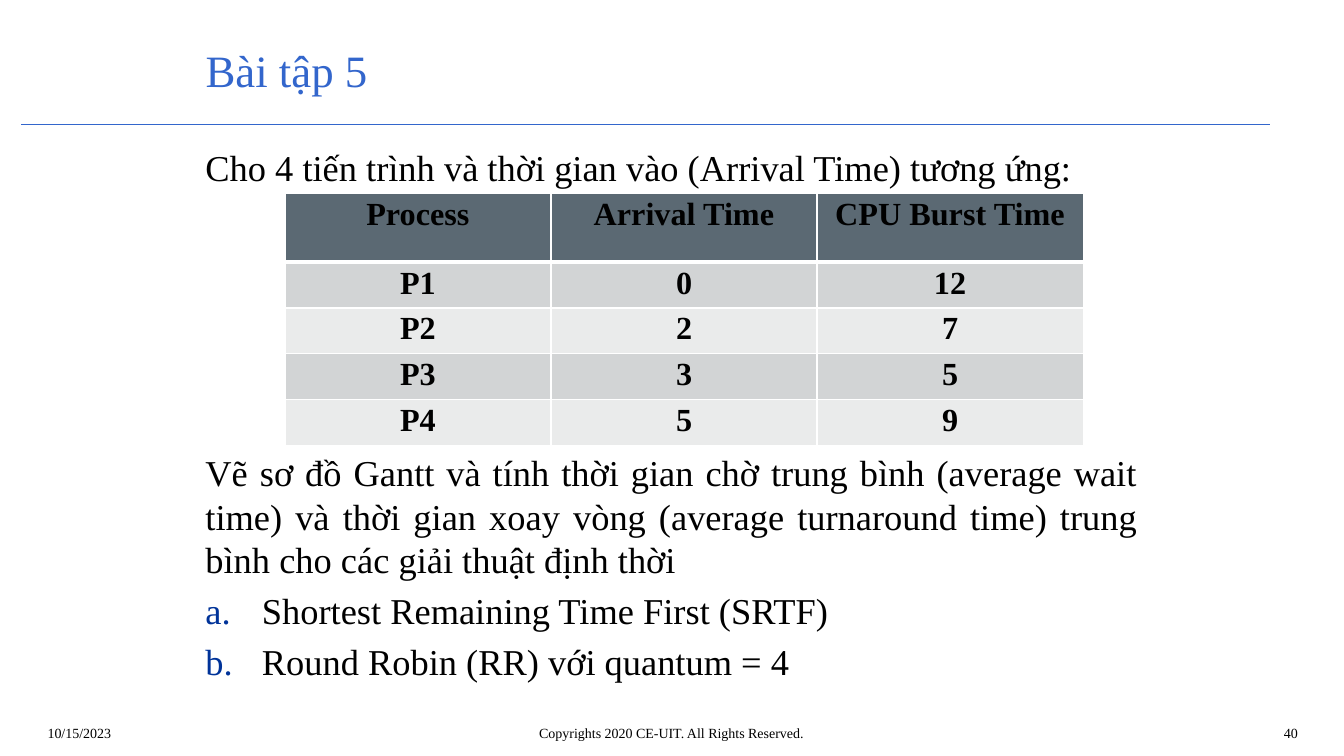
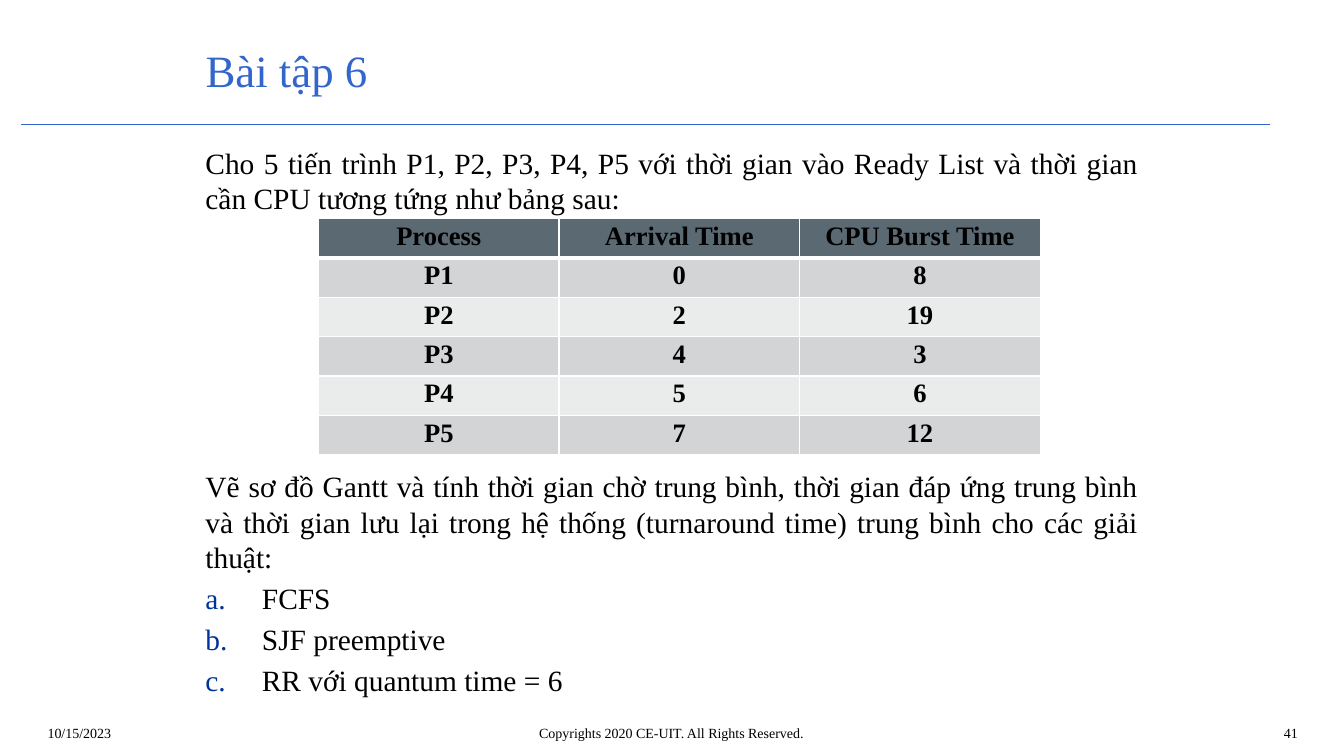
from dataclasses import dataclass

from lxml.etree import SubElement
from pptx import Presentation
from pptx.dml.color import RGBColor
from pptx.enum.shapes import MSO_CONNECTOR
from pptx.enum.text import MSO_ANCHOR, MSO_AUTO_SIZE, PP_ALIGN
from pptx.oxml.ns import qn
from pptx.util import Inches, Pt

SLIDE_WIDTH, SLIDE_HEIGHT = 13.33, 7.5


@dataclass(frozen=True)
class Theme:
    font: str = "Times New Roman"
    accent: str = "3366CC"
    ink: str = "000000"
    marker: str = "003399"
    header: str = "5B6973"
    bands: tuple = ("D2D4D5", "EAEBEB")
    border: str = "FFFFFF"
    title_size: int = 32
    footer_size: int = 10
    paragraph_gap: float = 0.2


@dataclass(frozen=True)
class Exercise:
    number: int
    page: int
    body_size: int
    table_size: int
    intro: str
    processes: tuple
    table_left: float
    table_top: float
    column: float
    header_row: float
    row: float
    task_top: float
    task: str
    algorithms: tuple


THEME = Theme()
TEXT_LEFT, TEXT_WIDTH = 14.55, 70.9
RULE_TOP, INTRO_TOP = 16.45, 18.5
FOOTER_TOP, FOOTER_HEIGHT = 95.2, 4.3
HEADINGS = ("Process", "Arrival Time", "CPU Burst Time")

EXERCISES = (
    Exercise(
        number=5, page=40, body_size=26, table_size=23,
        intro="Cho 4 tiến trình và thời gian vào (Arrival Time) tương ứng:",
        processes=((0, 12), (2, 7), (3, 5), (5, 9)),
        table_left=21.2, table_top=25.6, column=19.8, header_row=9.1, row=6.05,
        task_top=58.9,
        task="Vẽ sơ đồ Gantt và tính thời gian chờ trung bình (average wait time) "
             "và thời gian xoay vòng (average turnaround time) trung bình cho các "
             "giải thuật định thời",
        algorithms=("Shortest Remaining Time First (SRTF)",
                    "Round Robin (RR) với quantum = 4"),
    ),
    Exercise(
        number=6, page=41, body_size=21, table_size=19,
        intro="Cho 5 tiến trình P1, P2, P3, P4, P5 với thời gian vào Ready List "
              "và thời gian cần CPU tương tứng như bảng sau:",
        processes=((0, 8), (2, 19), (4, 3), (5, 6), (7, 12)),
        table_left=23.7, table_top=28.95, column=17.9, header_row=5.2, row=5.2,
        task_top=61.3,
        task="Vẽ sơ đồ Gantt và tính thời gian chờ trung bình, thời gian đáp ứng "
             "trung bình và thời gian lưu lại trong hệ thống (turnaround time) "
             "trung bình cho các giải thuật:",
        algorithms=("FCFS", "SJF preemptive", "RR với quantum time = 6"),
    ),
)


def across(percent):
    return Inches(SLIDE_WIDTH * percent / 100)


def down(percent):
    return Inches(SLIDE_HEIGHT * percent / 100)


def area(left, top, width, height):
    return across(left), down(top), across(width), down(height)


def write(paragraph, text, size, color=THEME.ink, align=PP_ALIGN.LEFT, bold=False):
    paragraph.alignment = align
    run = paragraph.add_run()
    run.text = text
    run.font.name = THEME.font
    run.font.size = Pt(size)
    run.font.bold = bold
    run.font.color.rgb = RGBColor.from_string(color)


def add_text_frame(slide, *bounds):
    frame = slide.shapes.add_textbox(*area(*bounds)).text_frame
    frame.word_wrap = True
    frame.margin_bottom = 0
    return frame


def add_title(slide, text):
    title = slide.shapes.title
    title.left, title.top, title.width, title.height = area(TEXT_LEFT, 4.1, 80.4, 10.1)
    frame = title.text_frame
    frame.auto_size = MSO_AUTO_SIZE.NONE
    frame.vertical_anchor = MSO_ANCHOR.MIDDLE
    write(frame.paragraphs[0], text, THEME.title_size, THEME.accent)


def add_title_rule(slide):
    rule = slide.shapes.add_connector(
        MSO_CONNECTOR.STRAIGHT,
        across(1.6), down(RULE_TOP), across(94.5), down(RULE_TOP))
    rule.line.color.rgb = RGBColor.from_string(THEME.accent)
    rule.line.width = Pt(0.75)
    SubElement(rule.element.spPr, qn("a:effectLst"))


def add_footers(slide, page):
    footers = (
        ("10/15/2023", 2.8, 23.3, PP_ALIGN.LEFT),
        ("Copyrights 2020 CE-UIT. All Rights Reserved.", 26.9, 46.1, PP_ALIGN.CENTER),
        (str(page), 78.1, 19.2, PP_ALIGN.RIGHT),
    )
    for text, left, width, align in footers:
        frame = add_text_frame(slide, left, FOOTER_TOP, width, FOOTER_HEIGHT)
        write(frame.paragraphs[0], text, THEME.footer_size, align=align)


def number_with_letters(paragraph):
    properties = paragraph._p.get_or_add_pPr()
    properties.set("marL", str(Inches(0.56)))
    properties.set("indent", str(-Inches(0.56)))
    color = SubElement(properties, qn("a:buClr"))
    SubElement(color, qn("a:srgbClr"), val=THEME.marker)
    SubElement(properties, qn("a:buAutoNum"), type="alphaLcPeriod")


def add_body(slide, top, bottom, size, statement, algorithms=()):
    frame = add_text_frame(slide, TEXT_LEFT, top, TEXT_WIDTH, bottom - top)
    write(frame.paragraphs[0], statement, size, align=PP_ALIGN.JUSTIFY)
    for algorithm in algorithms:
        paragraph = frame.add_paragraph()
        number_with_letters(paragraph)
        paragraph.space_before = Pt(size * THEME.paragraph_gap)
        write(paragraph, algorithm, size, align=PP_ALIGN.JUSTIFY)


def set_borders(cell, top, bottom):
    properties = cell._tc.get_or_add_tcPr()
    for side, width in (("L", 1), ("R", 1), ("T", top), ("B", bottom)):
        line = SubElement(properties, qn(f"a:ln{side}"), w=str(Pt(width)))
        fill = SubElement(line, qn("a:solidFill"))
        SubElement(fill, qn("a:srgbClr"), val=THEME.border)


def fill_cell(cell, text, size, row_index):
    cell.margin_top = cell.margin_bottom = Inches(0.03)
    set_borders(cell, 3 if row_index == 1 else 1, 3 if row_index == 0 else 1)
    background = THEME.bands[(row_index - 1) % 2] if row_index else THEME.header
    cell.fill.solid()
    cell.fill.fore_color.rgb = RGBColor.from_string(background)
    write(cell.text_frame.paragraphs[0], text, size, align=PP_ALIGN.CENTER, bold=True)


def add_process_table(slide, exercise):
    rows = [HEADINGS] + [
        (f"P{index}", str(arrival), str(burst))
        for index, (arrival, burst) in enumerate(exercise.processes, 1)]
    height = exercise.header_row + exercise.row * len(exercise.processes)
    bounds = area(exercise.table_left, exercise.table_top,
                  exercise.column * len(HEADINGS), height)
    table = slide.shapes.add_table(len(rows), len(HEADINGS), *bounds).table
    table.horz_banding = False
    for column in table.columns:
        column.width = across(exercise.column)
    for row_index, values in enumerate(rows):
        table.rows[row_index].height = down(
            exercise.row if row_index else exercise.header_row)
        for column_index, value in enumerate(values):
            fill_cell(table.cell(row_index, column_index), value,
                      exercise.table_size, row_index)


def add_exercise(presentation, exercise):
    slide = presentation.slides.add_slide(presentation.slide_layouts[5])
    add_title_rule(slide)
    add_title(slide, f"Bài tập {exercise.number}")
    add_body(slide, INTRO_TOP, exercise.table_top, exercise.body_size, exercise.intro)
    add_process_table(slide, exercise)
    add_body(slide, exercise.task_top, FOOTER_TOP, exercise.body_size,
             exercise.task, exercise.algorithms)
    add_footers(slide, exercise.page)


def main():
    presentation = Presentation()
    presentation.slide_width = Inches(SLIDE_WIDTH)
    presentation.slide_height = Inches(SLIDE_HEIGHT)
    for exercise in EXERCISES:
        add_exercise(presentation, exercise)
    presentation.save("out.pptx")


if __name__ == "__main__":
    main()
